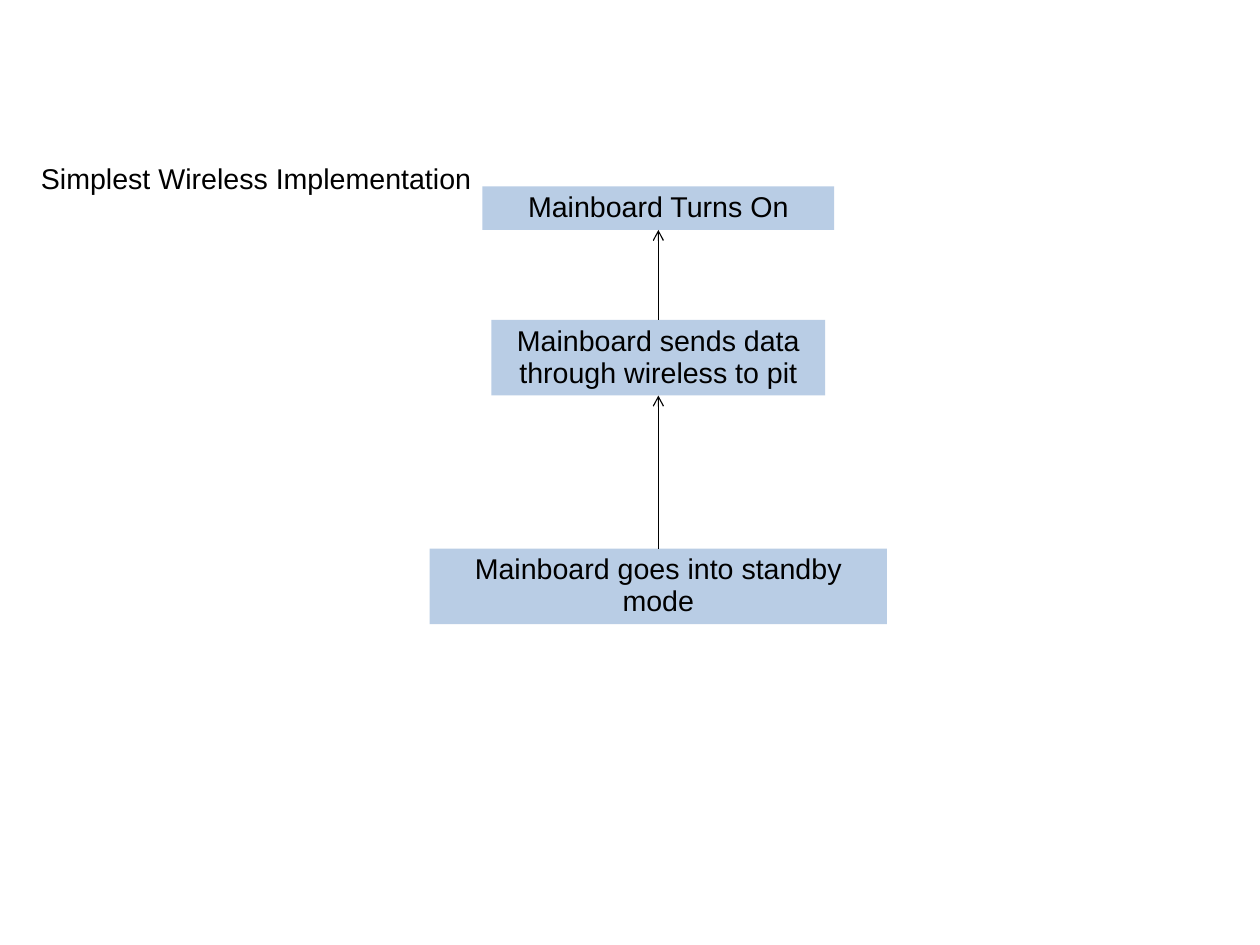
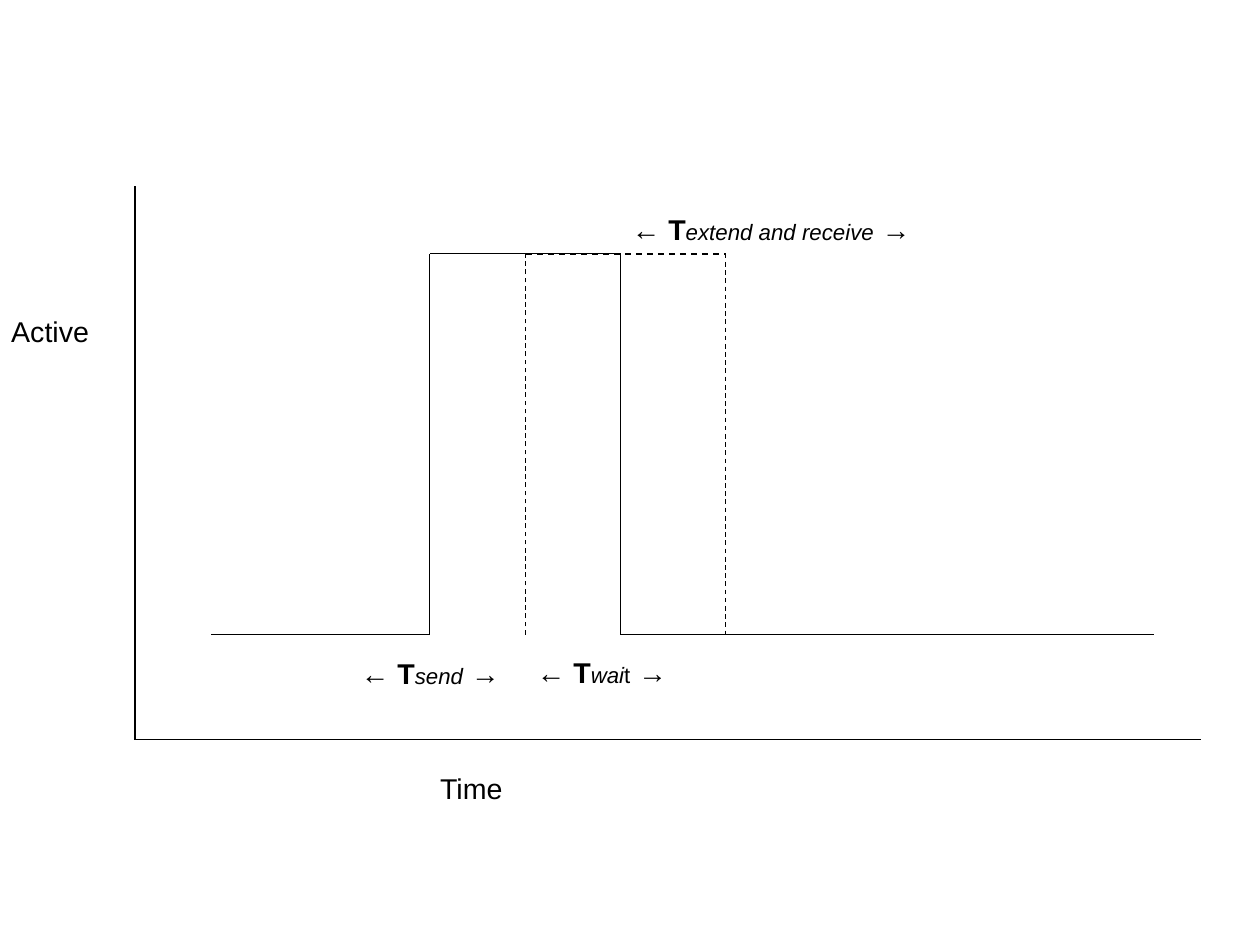
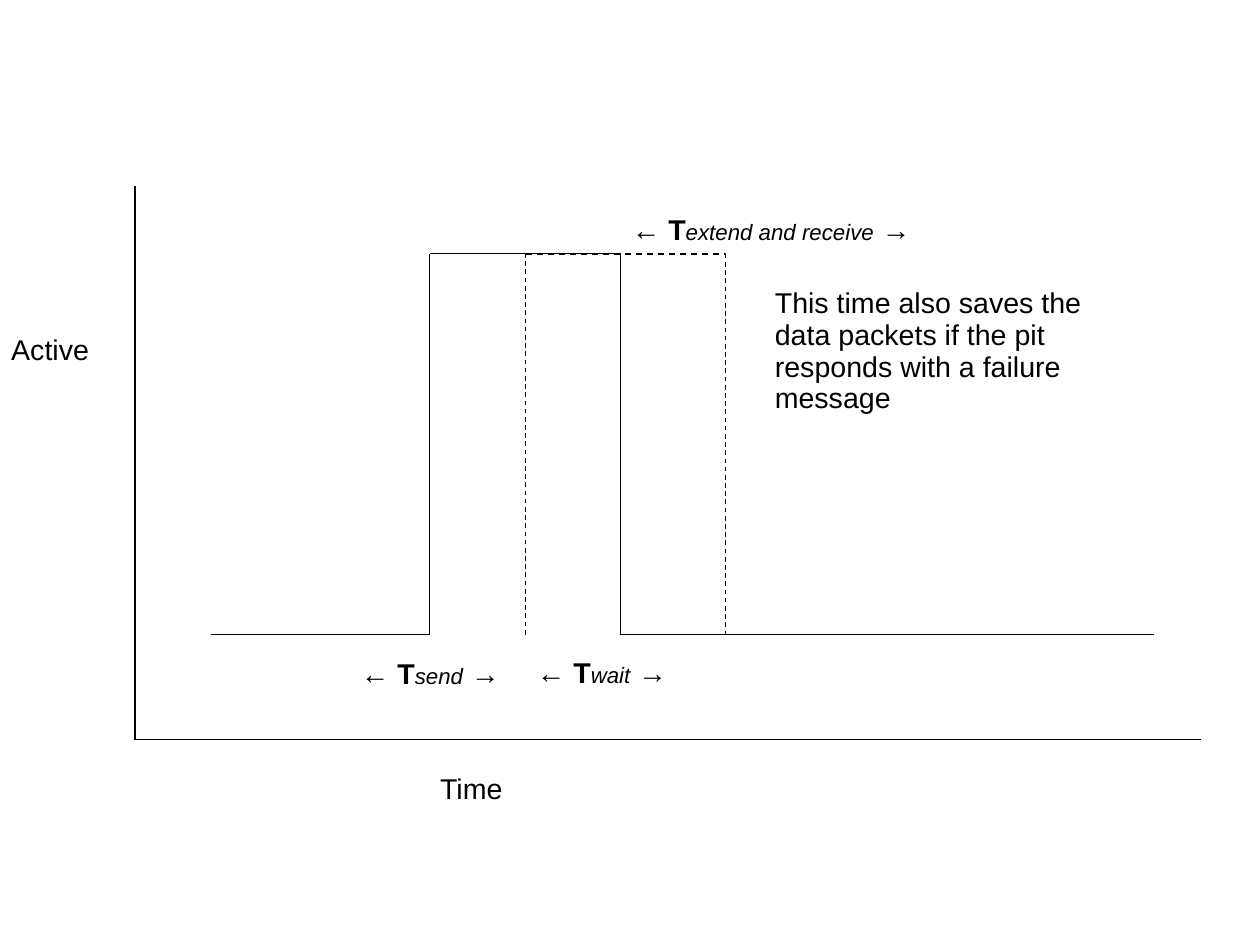
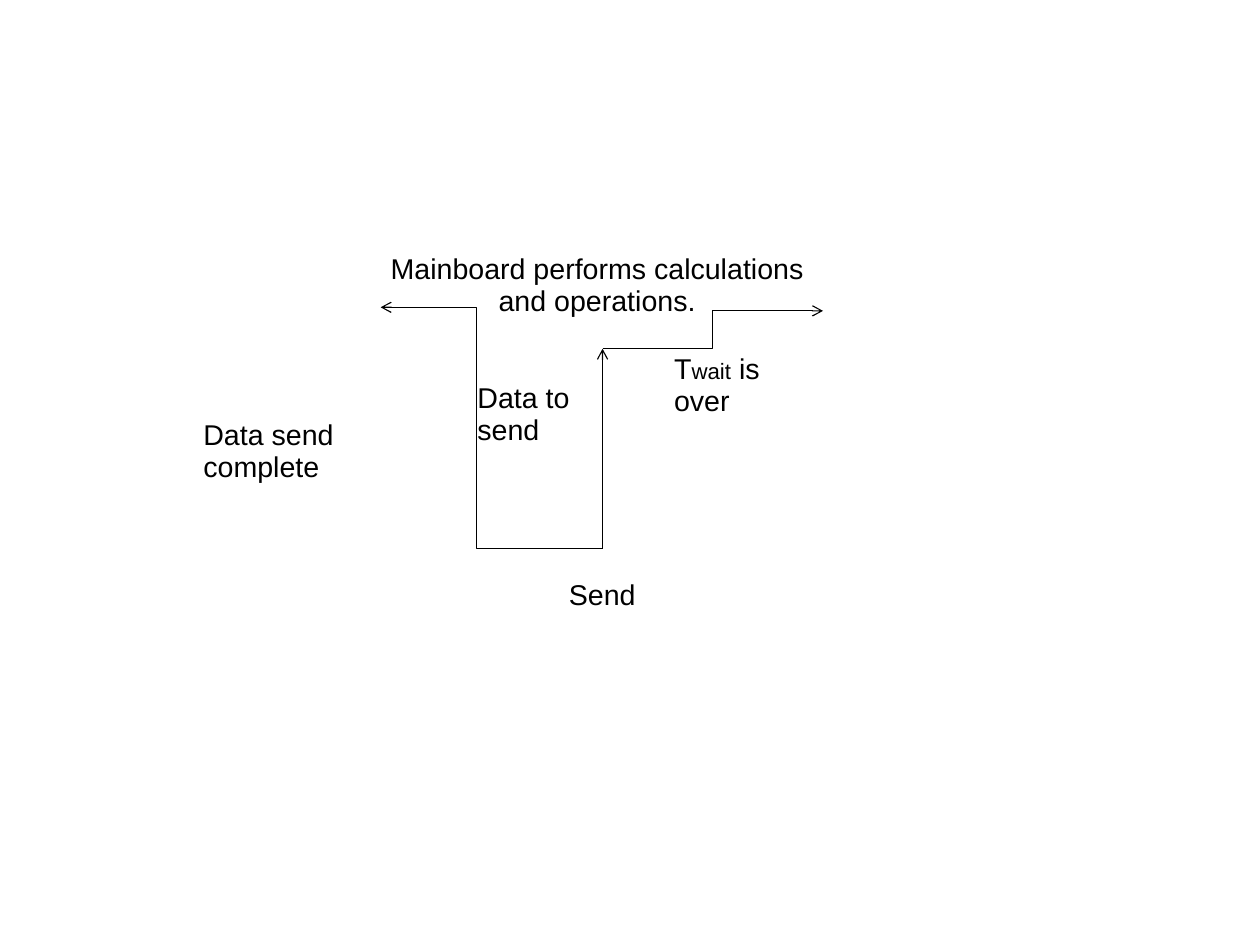
from itertools import pairwise

from lxml.etree import SubElement
from pptx import Presentation
from pptx.dml.color import RGBColor
from pptx.enum.dml import MSO_LINE
from pptx.enum.shapes import MSO_CONNECTOR, MSO_SHAPE
from pptx.enum.text import MSO_AUTO_SIZE, PP_ALIGN
from pptx.oxml.ns import qn
from pptx.util import Cm, Pt

BLACK = RGBColor(0x00, 0x00, 0x00)
WHITE = RGBColor(0xFF, 0xFF, 0xFF)
BLUE = RGBColor(0xB9, 0xCD, 0xE5)

BODY = {"name": "Arial", "size": Pt(18)}
BOLD = {"bold": True}
SMALL = {"size": Pt(14)}
SLANT = {"size": Pt(14), "italic": True}
FRAME = {"word_wrap": True, "auto_size": MSO_AUTO_SIZE.SHAPE_TO_FIT_TEXT}
ONE, TWO, FOUR = 0.97, 1.68, 3.1


def apply(target, style):
    for key, value in style.items():
        setattr(target, key, value)


def write(shape, runs, align):
    apply(shape.text_frame, FRAME)
    para = shape.text_frame.paragraphs[0]
    apply(para, {"alignment": align, "line_spacing": 0.93})
    for text, style in runs:
        run = para.add_run()
        run.text = text
        apply(run.font, BODY | style)
        run.font.color.rgb = BLACK


def label(slide, box, x, y, width, runs, height=ONE):
    left, top = box
    shape = slide.shapes.add_textbox(
        Cm(left + x), Cm(top + y), Cm(width), Cm(height))
    write(shape, runs, PP_ALIGN.LEFT)


def panel(slide, box, x, y, width, height, text, fill):
    left, top = box
    shape = slide.shapes.add_shape(
        MSO_SHAPE.RECTANGLE, Cm(left + x), Cm(top + y), Cm(width), Cm(height))
    shape.shadow.inherit = False
    shape.fill.solid()
    shape.fill.fore_color.rgb = fill
    shape.line.fill.background()
    write(shape, [(text, {})], PP_ALIGN.CENTER)
    return shape


def link(slide, box, start, end, kind=MSO_CONNECTOR.STRAIGHT,
         width=0.75, dash=None, arrow=None, bend=None):
    left, top = box
    line = slide.shapes.add_connector(
        kind, Cm(left + start[0]), Cm(top + start[1]),
        Cm(left + end[0]), Cm(top + end[1]))
    line.line.color.rgb = BLACK
    apply(line.line, {"width": Pt(width), "dash_style": dash})
    props = line.element.spPr
    if arrow:
        SubElement(props.find(qn("a:ln")), qn(arrow), type="arrow")
    if bend:
        guides = props.find(qn("a:prstGeom")).find(qn("a:avLst"))
        SubElement(guides, qn("a:gd"), name="adj1", fmla=f"val {bend}")
    SubElement(props, qn("a:effectLst"))
    return line


def trace(slide, box, points):
    for start, end in pairwise(points):
        link(slide, box, start, end)


def flow(slide, box):
    steps = [
        (0, 7.82, ONE, "Mainboard Turns On"),
        (2.97, 7.42, TWO, "Mainboard sends data through wireless to pit"),
        (8.05, 10.16, TWO, "Mainboard goes into standby mode"),
    ]
    cards = [panel(slide, box, -width / 2, y, width, height, text, BLUE)
             for y, width, height, text in steps]
    for (upper, lower), (first, second) in zip(pairwise(cards), pairwise(steps)):
        line = link(slide, box, (0, second[0]), (0, first[0] + first[2]),
                    arrow="a:tailEnd")
        line.begin_connect(lower, 0)
        line.end_connect(upper, 2)
    label(slide, box, -13.97, -0.63, 10.26,
          [("Simplest Wireless Implementation", {})])


def span(name):
    return [("← ", {}), ("T", BOLD), *name, (" →", {})]


def timing(slide, box, wait, active):
    wide, tall = 23.7, 12.3
    high, low = 1.5, 9.96
    rise, mid, fall, late = 6.55, 8.68, 10.79, 13.13
    trace(slide, box, [(0, 0), (0, tall), (wide, tall)])
    trace(slide, box, [(1.7, low), (rise, low), (rise, high),
                       (fall, high), (fall, low), (22.65, low)])
    pulse = [(mid, low), (mid, high), (late, high), (late, low)]
    for (start, end), width in zip(pairwise(pulse), (0.75, 1, 0.75)):
        link(slide, box, start, end, width=width, dash=MSO_LINE.DASH)
    notes = [
        (6.53, 12.93, 6.99, [("Time", {})]),
        (-3, active, 3, [("Active", {})]),
        (4.77, 10.39, 3.89, span([("send", SLANT)])),
        (mid, 10.36, 3.61, span(wait)),
        (fall, 0.51, 6.99, span([("extend and receive", SLANT)])),
    ]
    for note in notes:
        label(slide, box, *note)


def states(slide, box):
    panel(slide, box, 0, 0, 9.78, TWO,
          "Mainboard performs calculations and operations.", WHITE)
    panel(slide, box, 0.56, 7.24, 8.89, ONE, "Send", WHITE)
    base, fork = (5.01, 6.68), (5.01, 2.24)
    link(slide, box, base, fork, arrow="a:tailEnd")
    link(slide, box, fork, (9.91, 1.4), MSO_CONNECTOR.ELBOW,
         arrow="a:tailEnd")
    link(slide, box, (0.08, 1.32), base, MSO_CONNECTOR.ELBOW,
         arrow="a:headEnd", bend=43300)
    notes = [
        (6.35, 2.24, 2.54, [("T", {}), ("wait", SMALL), (" is over", {})]),
        (1.98, 2.87, 3.61, [("Data to send", {})]),
        (-4.11, 3.71, 4.19, [("Data send complete", {})]),
    ]
    for note in notes:
        label(slide, box, *note, height=TWO)


def main():
    deck = Presentation()
    apply(deck, {"slide_width": Cm(28), "slide_height": Cm(21)})
    first, second, third, fourth = [
        deck.slides.add_slide(deck.slide_layouts[6]) for _ in range(4)]
    chart = (3, 4.14)
    flow(first, (14.63, 4.14))
    timing(second, chart, [("wai", SLANT), ("t", SMALL)], 2.77)
    timing(third, chart, [("wait", SLANT)], 3.18)
    label(third, chart, 13.97, 2.13, 8.46,
          [("This time also saves the data packets if the pit "
            "responds with a failure message", {})], FOUR)
    states(fourth, (8.38, 5.51))
    deck.save("out.pptx")


if __name__ == "__main__":
    main()
